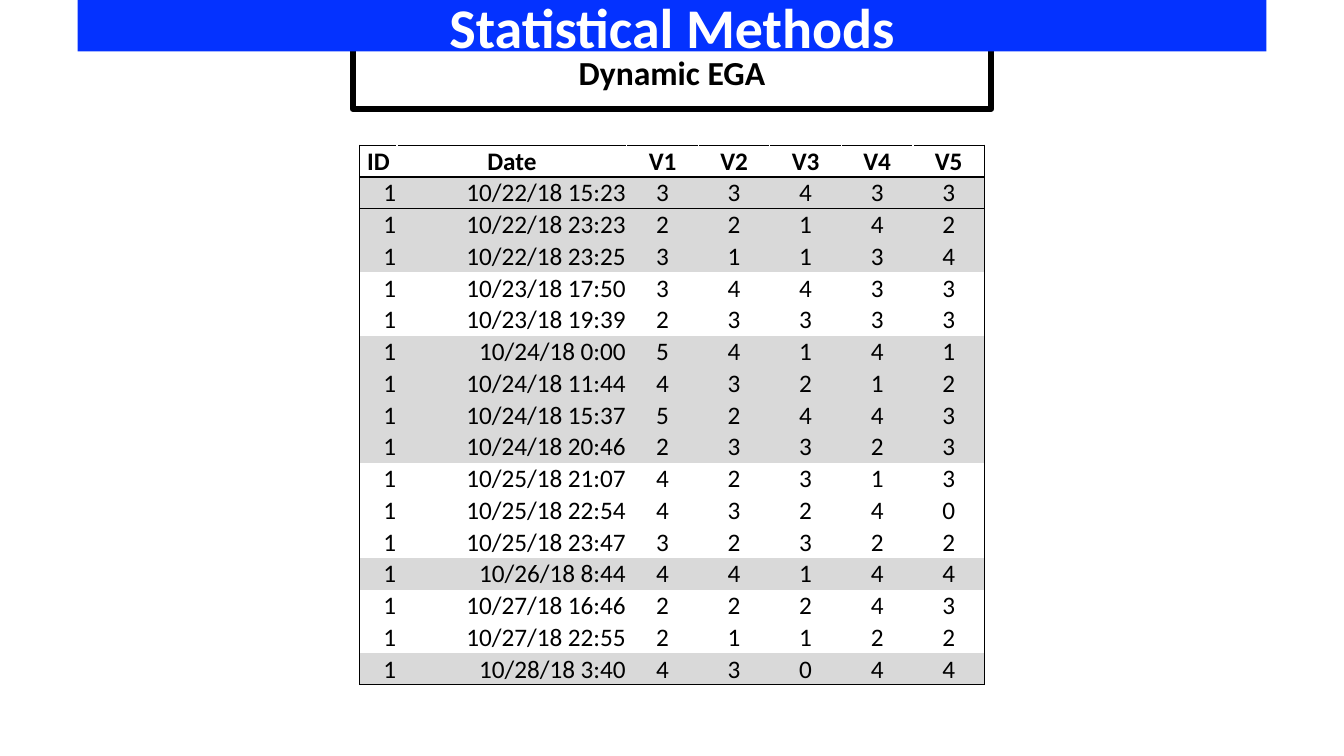
from lxml.etree import SubElement
from pptx import Presentation
from pptx.dml.color import RGBColor
from pptx.enum.shapes import MSO_SHAPE
from pptx.enum.text import MSO_ANCHOR as ANCHOR, MSO_AUTO_SIZE as AUTO, PP_ALIGN as ALIGN
from pptx.oxml.ns import qn
from pptx.util import Pt

BLACK = RGBColor(0x00, 0x00, 0x00)
WHITE = RGBColor(0xFF, 0xFF, 0xFF)
BLUE = RGBColor(0x04, 0x32, 0xFF)
GREY = RGBColor(0xD9, 0xD9, 0xD9)

FONT = "Calibri"
NO_STYLE = "{2D5ABB26-0587-4C30-8999-92F81FD0307C}"
COL_WIDTHS = [26.6, 164.2] + [51.1] * 5
ROW_HEIGHT = 22.36
HEADER = ["ID", "Date", "V1", "V2", "V3", "V4", "V5"]
RECORDS = [
    ("10/22/18 15:23", "33433"),
    ("10/22/18 23:23", "22142"),
    ("10/22/18 23:25", "31134"),
    ("10/23/18 17:50", "34433"),
    ("10/23/18 19:39", "23333"),
    ("10/24/18 0:00", "54141"),
    ("10/24/18 11:44", "43212"),
    ("10/24/18 15:37", "52443"),
    ("10/24/18 20:46", "23323"),
    ("10/25/18 21:07", "42313"),
    ("10/25/18 22:54", "43240"),
    ("10/25/18 23:47", "32322"),
    ("10/26/18 8:44", "44144"),
    ("10/27/18 16:46", "22243"),
    ("10/27/18 22:55", "21122"),
    ("10/28/18 3:40", "43044"),
]


def write(tf, text, size, color=BLACK, bold=True, align=ALIGN.CENTER):
    p = tf.paragraphs[0]
    p.alignment = align
    r = p.add_run()
    r.text = text
    r.font.name = FONT
    r.font.size = Pt(size)
    r.font.bold = bold
    r.font.color.rgb = color


def format_title(title, text):
    title.left, title.top, title.width, title.height = Pt(55.5), Pt(0), Pt(849), Pt(36.7)
    title.fill.solid()
    title.fill.fore_color.rgb = BLUE
    tf = title.text_frame
    tf.auto_size = AUTO.NONE
    tf.vertical_anchor = ANCHOR.MIDDLE
    write(tf, text, 40, WHITE)


def add_subtitle_box(s, text):
    sp = s.shapes.add_shape(MSO_SHAPE.RECTANGLE, Pt(252), Pt(24.5), Pt(456), Pt(53.3))
    sp.shadow.inherit = False
    sp.fill.solid()
    sp.fill.fore_color.rgb = WHITE
    sp.line.color.rgb = BLACK
    sp.line.width = Pt(4.5)
    sp.text_frame.vertical_anchor = ANCHOR.MIDDLE
    write(sp.text_frame, text, 24)
    return sp


def set_borders(cell, borders):
    """Draw 1 pt borders; borders maps a side (L, R, T, B) to its colour."""
    tc_pr = cell._tc.get_or_add_tcPr()
    sides = [side for side in "LRTB" if side in borders]
    for i, side in enumerate(sides):
        ln = SubElement(tc_pr, qn("a:ln" + side), w=str(Pt(1)))
        fill = SubElement(ln, qn("a:solidFill"))
        SubElement(fill, qn("a:srgbClr"), val=str(borders[side]))
        tc_pr.insert(i, ln)


def cell_borders(row, col, last_row, last_col):
    borders = {}
    if row == 0:
        borders = {side: WHITE for side in "LR"}
    if row <= 1:
        borders["T"] = BLACK
    if row in (0, last_row):
        borders["B"] = BLACK
    if col == 0:
        borders["L"] = BLACK
    if col == last_col:
        borders["R"] = BLACK
    return borders


def format_cell(cell, text, fill, bold, align):
    cell.margin_left = cell.margin_right = cell.margin_top = Pt(0.7)
    cell.margin_bottom = Pt(0)
    cell.vertical_anchor = ANCHOR.BOTTOM
    if fill is None:
        cell.fill.background()
    else:
        cell.fill.solid()
        cell.fill.fore_color.rgb = fill
    write(cell.text_frame, text, 18, bold=bold, align=align)


def add_records_table(s):
    """Add the table, with the records of even days shaded."""
    rows = [HEADER] + [["1", date, *values] for date, values in RECORDS]
    frame = s.shapes.add_table(len(rows), len(HEADER), Pt(257), Pt(103.7),
                               Pt(sum(COL_WIDTHS)), Pt(ROW_HEIGHT * len(rows)))
    table = frame.table
    table.horz_banding = False
    table._tbl.tblPr.find(qn("a:tableStyleId")).text = NO_STYLE
    for column, width in zip(table.columns, COL_WIDTHS):
        column.width = Pt(width)
    for i, row in enumerate(rows):
        table.rows[i].height = Pt(ROW_HEIGHT)
        is_header = i == 0
        shaded = not is_header and int(row[1].split("/")[1]) % 2 == 0
        for j, text in enumerate(row):
            cell = table.cell(i, j)
            align = ALIGN.CENTER if is_header or j > 1 else ALIGN.RIGHT
            format_cell(cell, text, GREY if shaded else None, is_header, align)
            set_borders(cell, cell_borders(i, j, len(rows) - 1, len(row) - 1))


def main():
    prs = Presentation()
    prs.slide_width, prs.slide_height = Pt(960), Pt(540)
    s = prs.slides.add_slide(prs.slide_layouts[5])
    title = s.shapes.title
    format_title(title, "Statistical Methods")
    box = add_subtitle_box(s, "Dynamic EGA")
    title._element.addprevious(box._element)  # the title bar overlaps the box
    add_records_table(s)
    prs.save("out.pptx")


if __name__ == "__main__":
    main()
